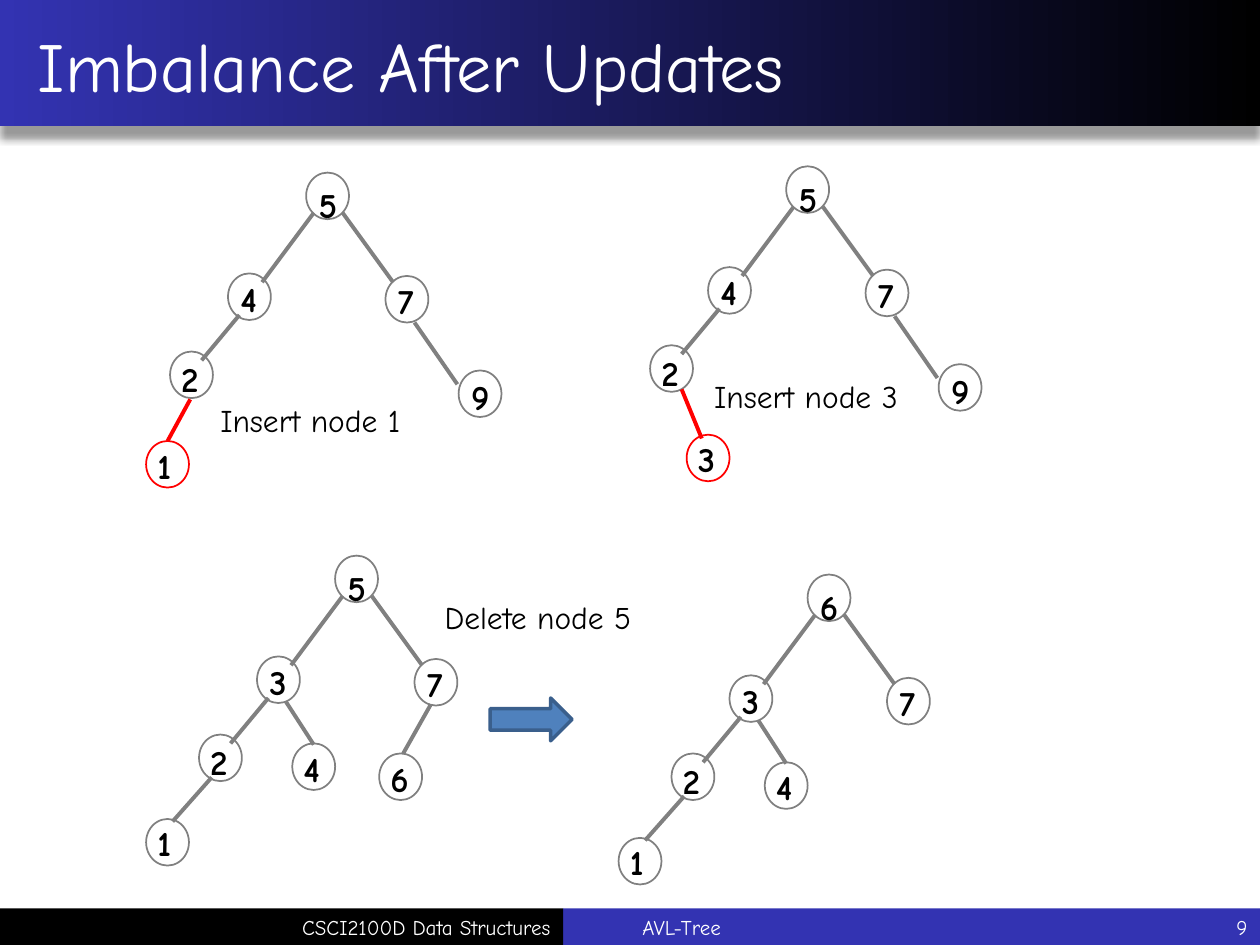
from lxml.etree import SubElement
from pptx import Presentation
from pptx.dml.color import RGBColor
from pptx.enum.shapes import MSO_CONNECTOR, MSO_SHAPE
from pptx.enum.text import MSO_ANCHOR, MSO_AUTO_SIZE, PP_ALIGN
from pptx.oxml.ns import qn
from pptx.util import Inches, Pt

BLACK = RGBColor(0x00, 0x00, 0x00)
WHITE = RGBColor(0xFF, 0xFF, 0xFF)
INDIGO = RGBColor(0x33, 0x33, 0xB2)
GRAY = RGBColor(0x80, 0x80, 0x80)
RED = RGBColor(0xFF, 0x00, 0x00)
ARROW_FILL = RGBColor(0x4F, 0x81, 0xBD)
ARROW_LINE = RGBColor(0x3A, 0x5F, 0x8C)
FONT = "Comic Neue"
NODE_WIDTH, NODE_HEIGHT = 0.34, 0.37

# Each slot: node offset, label offset within the node, edge from its parent.
SLOTS = {
    "root": ((0, 0), (0, 0.04), None),
    "L": ((-0.62, 0.80), (0, -0.02), (0.06, 0.32, -0.35, 0.87)),
    "R": ((0.63, 0.82), (0, -0.02), (0.29, 0.32, 0.69, 0.87)),
    "LL": ((-1.08, 1.42), (-0.01, 0), (-0.53, 1.13, -0.83, 1.49)),
    "LR": ((-0.34, 1.49), (-0.01, -0.02), (-0.39, 1.16, -0.17, 1.50)),
    "RL": ((0.35, 1.57), (-0.01, -0.02), (0.76, 1.18, 0.54, 1.57)),
    "RR": ((1.21, 1.57), (0, -0.01), (0.86, 1.19, 1.20, 1.68)),
    "LLL": ((-1.50, 2.09), (-0.01, -0.03), (-0.98, 1.76, -1.29, 2.11)),
    "new left": ((-1.27, 2.13), (-0.01, -0.02), (-0.92, 1.80, -1.10, 2.13)),
    "new right": ((-0.79, 2.13), (-0.01, -0.03), (-0.83, 1.77, -0.67, 2.16)),
}
INSERT_BASE = {"root": "5", "L": "4", "R": "7", "RR": "9", "LL": "2"}
DELETE_BASE = {"L": "3", "R": "7", "LL": "2", "LR": "4", "LLL": "1"}
TREES = [
    ((2.43, 1.37), INSERT_BASE | {"new left": "1"}),
    ((6.24, 1.32), INSERT_BASE | {"new right": "3"}),
    ((2.66, 4.41), DELETE_BASE | {"root": "5", "RL": "6"}),
    ((6.41, 4.56), DELETE_BASE | {"root": "6"}),
]
CAPTIONS = [
    ("Insert node 1", 1.65, 3.13),
    ("Insert node 3", 5.57, 2.94),
    ("Delete node 5", 3.43, 4.70),
]


def write_text(box, text, size, color=BLACK, bold=False, align=PP_ALIGN.LEFT,
               anchor=MSO_ANCHOR.TOP, wrap=True, grow=False):
    """Fill a box with one formatted paragraph."""
    frame = box.text_frame
    frame.word_wrap = wrap
    frame.auto_size = MSO_AUTO_SIZE.SHAPE_TO_FIT_TEXT if grow else MSO_AUTO_SIZE.NONE
    frame.vertical_anchor = anchor
    para = frame.paragraphs[0]
    para.alignment = align
    span = para.add_run()
    span.text = text
    span.font.name = FONT
    span.font.size = Pt(size)
    span.font.bold = bold
    span.font.color.rgb = color


def add_text(shapes, text, left, top, width, height, **style):
    """Add a text box with formatted text."""
    box = shapes.add_textbox(Inches(left), Inches(top), Inches(width), Inches(height))
    write_text(box, text, **style)


def add_figure(shapes, kind, left, top, width, height, fill=None, line=None, weight=1):
    """Add a preset shape with an optional fill and outline."""
    figure = shapes.add_shape(kind, Inches(left), Inches(top), Inches(width), Inches(height))
    figure.shadow.inherit = False
    if fill is None:
        figure.fill.background()
    else:
        figure.fill.solid()
        figure.fill.fore_color.rgb = fill
    if line is None:
        figure.line.fill.background()
    else:
        figure.line.color.rgb = line
        figure.line.width = Pt(weight)
    return figure


def add_edge(shapes, start_x, start_y, end_x, end_y, color):
    """Draw a straight tree edge."""
    edge = shapes.add_connector(MSO_CONNECTOR.STRAIGHT, Inches(start_x), Inches(start_y),
                                Inches(end_x), Inches(end_y))
    edge.line.color.rgb = color
    edge.line.width = Pt(2.25)
    SubElement(edge._element.spPr, qn("a:effectLst"))


def add_header(page, text, left, top, width, height):
    """Place the shaded banner and the title on it."""
    banner = add_figure(page.shapes, MSO_SHAPE.RECTANGLE, left, top, width, height)
    banner.fill.gradient()
    banner.fill.gradient_angle = 180
    for stop, color in zip(banner.fill.gradient_stops, (BLACK, INDIGO)):
        stop.color.rgb = color
    effects = banner._element.spPr.find(qn("a:effectLst"))
    shadow = SubElement(effects, qn("a:outerShdw"), blurRad=str(Pt(4)), dist=str(Pt(7)),
                        dir="5400000", algn="t", rotWithShape="0")
    tint = SubElement(shadow, qn("a:srgbClr"), val=str(BLACK))
    SubElement(tint, qn("a:alpha"), val="40000")

    title = page.shapes.title
    banner._element.addnext(title._element)
    title.left, title.top = Inches(left), Inches(top + 0.03)
    title.width, title.height = Inches(width), Inches(height - 0.03)
    write_text(title, text, size=40, color=WHITE, anchor=MSO_ANCHOR.MIDDLE)
    title.text_frame.margin_left = Inches(0.3)


def add_footer(page, left, top, width, height):
    """Place the two-tone footer with course, topic and page number."""
    split = 4.47
    add_figure(page.shapes, MSO_SHAPE.RECTANGLE, left + split, top, width - split, height,
               fill=INDIGO)
    add_figure(page.shapes, MSO_SHAPE.RECTANGLE, left, top, split, height, fill=BLACK)
    for text, offset, span_width, align in (
        ("CSCI2100D Data Structures", 0.01, 4.46, PP_ALIGN.RIGHT),
        ("AVL-Tree", 5, 4.41, PP_ALIGN.LEFT),
        ("9", 8.75, 1.25, PP_ALIGN.RIGHT),
    ):
        add_text(page.shapes, text, left + offset, top, span_width, height, size=12,
                 color=WHITE, align=align, anchor=MSO_ANCHOR.MIDDLE)


def add_tree(page, left, top, nodes):
    """Draw a grouped binary tree whose root starts at the given corner."""
    shapes = page.shapes.add_group_shape().shapes
    for slot, value in nodes.items():
        (node_x, node_y), (label_x, label_y), edge = SLOTS[slot]
        color = RED if slot.startswith("new") else GRAY
        if edge:
            start_x, start_y, end_x, end_y = edge
            add_edge(shapes, left + start_x, top + start_y, left + end_x, top + end_y, color)
        add_figure(shapes, MSO_SHAPE.OVAL, left + node_x, top + node_y,
                   NODE_WIDTH, NODE_HEIGHT, line=color)
        add_text(shapes, value, left + node_x + label_x, top + node_y + label_y, 0.37, 0.44,
                 size=20, bold=True, wrap=False, grow=True)


def main():
    """Build and save the slide."""
    deck = Presentation()
    deck.slide_width, deck.slide_height = Inches(10), Inches(7.5)
    page = deck.slides.add_slide(deck.slide_layouts[5])
    add_header(page, "Imbalance After Updates", 0, -0.01, 10, 1.01)
    add_footer(page, 0, 7.21, 10, 0.29)
    for (left, top), nodes in TREES:
        add_tree(page, left, top, nodes)
    add_figure(page.shapes, MSO_SHAPE.RIGHT_ARROW, 3.89, 5.54, 0.65, 0.34,
               fill=ARROW_FILL, line=ARROW_LINE, weight=2)
    for text, left, top in CAPTIONS:
        add_text(page.shapes, text, left, top, 1.9, 0.4, size=18, grow=True)
    deck.save("out.pptx")


if __name__ == "__main__":
    main()
